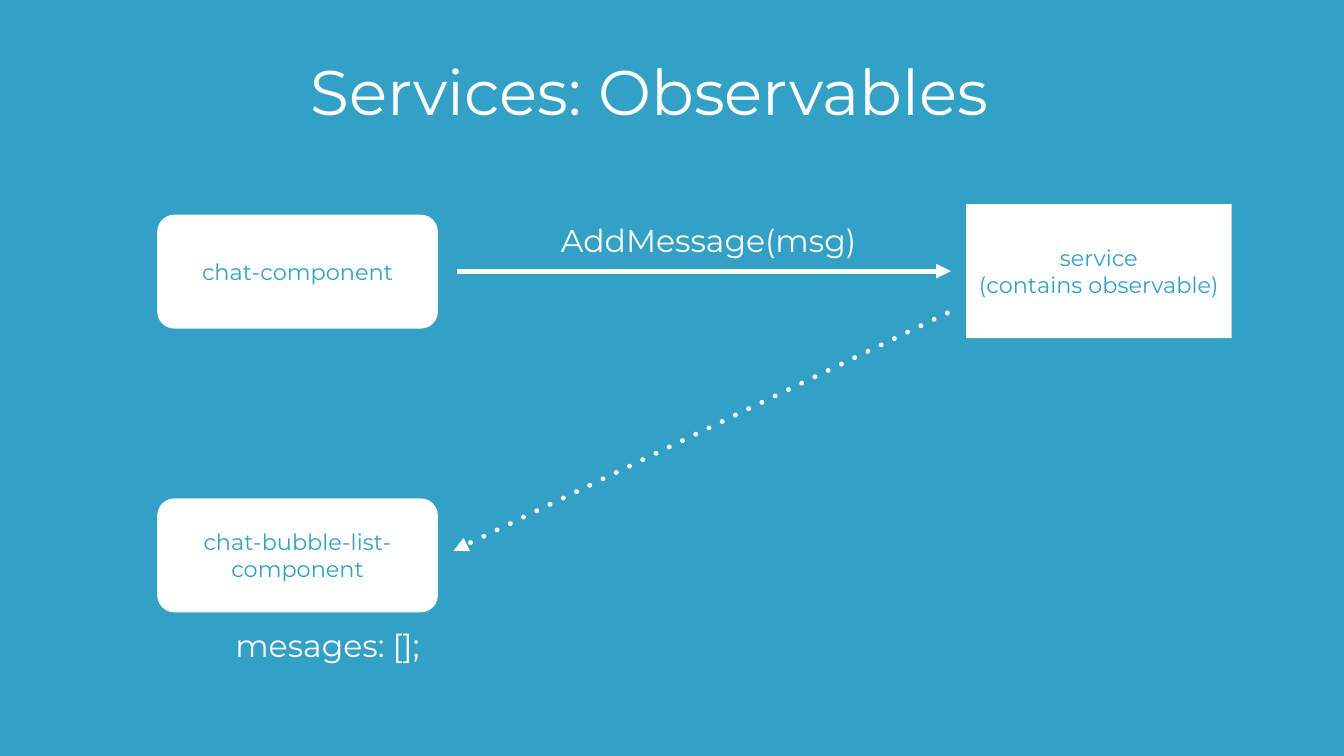
from dataclasses import dataclass

import pptx
import pptx.dml.color
import pptx.enum.dml
import pptx.enum.shapes
import pptx.enum.text
import pptx.oxml
import pptx.oxml.ns
import pptx.util

Inches = pptx.util.Inches
SHAPES = pptx.enum.shapes.MSO_SHAPE
ALIGN = pptx.enum.text.PP_ALIGN
ANCHOR = pptx.enum.text.MSO_ANCHOR


@dataclass(frozen=True)
class Theme:
    background: str = "33A1C5"
    ink: str = "FFFFFF"
    box_text: str = "33A0C5"
    font: str = "Montserrat"
    title_size: int = 90
    label_size: int = 45
    box_size: int = 32
    line_width: int = 7
    inset: float = 0.06


@dataclass(frozen=True)
class Box:
    lines: tuple[str, ...]
    at: tuple[float, float, float, float]
    rounded: bool = False


@dataclass(frozen=True)
class Arrow:
    start: tuple[float, float]
    end: tuple[float, float]
    dotted: bool = False


@dataclass(frozen=True)
class Label:
    text: str
    at: tuple[float, float, float, float]


THEME = Theme()
COMPONENT_LEFT, COMPONENT_SIZE = 3.12, (5.57, 2.26)

BOXES = [
    Box(("chat-component",), (COMPONENT_LEFT, 4.26, *COMPONENT_SIZE), True),
    Box(("service", "(contains observable)"), (19.17, 4.05, 5.27, 2.66)),
    Box(("chat-bubble-list-component",), (COMPONENT_LEFT, 9.89, *COMPONENT_SIZE), True),
]
ARROWS = [
    Arrow((9.06, 5.38), (18.87, 5.38)),
    Arrow((18.8, 6.21), (9, 10.93), dotted=True),
]
LABELS = [
    Label("AddMessage(msg)", (11.07, 4.42, 6.28, 0.67)),
    Label("mesages: [];", (4.61, 12.47, 4.11, 0.67)),
]


def rgb(value: str) -> pptx.dml.color.RGBColor:
    return pptx.dml.color.RGBColor.from_string(value)


def write_text(sp, lines, size: int, color: str, align, anchor, wrap=True) -> None:
    tf = sp.text_frame
    margin = Inches(THEME.inset)
    frame_format = {
        "word_wrap": wrap, "vertical_anchor": anchor,
        "auto_size": pptx.enum.text.MSO_AUTO_SIZE.NONE,
        "margin_left": margin, "margin_right": margin,
        "margin_top": margin, "margin_bottom": margin,
    }
    for name, value in frame_format.items():
        setattr(tf, name, value)
    font_format = {"name": THEME.font, "size": pptx.util.Pt(size), "bold": False}
    for i, line in enumerate(lines):
        p = tf.paragraphs[0] if i == 0 else tf.add_paragraph()
        p.alignment = align
        r = p.add_run()
        r.text = line
        for name, value in font_format.items():
            setattr(r.font, name, value)
        r.font.color.rgb = rgb(color)


def draw_title(slide, text: str) -> None:
    sp = slide.shapes.title
    place = {"left": 6.11, "top": 1.19, "width": 14.45, "height": 1.42}
    for name, value in place.items():
        setattr(sp, name, Inches(value))
    write_text(sp, [text], THEME.title_size, THEME.ink, ALIGN.LEFT, ANCHOR.BOTTOM)


def draw_box(slide, box: Box) -> None:
    kind = SHAPES.ROUNDED_RECTANGLE if box.rounded else SHAPES.RECTANGLE
    sp = slide.shapes.add_shape(kind, *map(Inches, box.at))
    if box.rounded:
        sp.adjustments[0] = 0.15
    sp.shadow.inherit = False
    sp.fill.solid()
    sp.fill.fore_color.rgb = rgb(THEME.ink)
    sp.line.fill.background()
    write_text(sp, box.lines, THEME.box_size, THEME.box_text, ALIGN.CENTER, ANCHOR.MIDDLE)


def draw_arrow(slide, arrow: Arrow) -> None:
    sp = slide.shapes.add_connector(
        pptx.enum.shapes.MSO_CONNECTOR.STRAIGHT,
        *map(Inches, arrow.start + arrow.end))
    sp.line.width = pptx.util.Pt(THEME.line_width)
    sp.line.color.rgb = rgb(THEME.ink)
    ln = sp.line._get_or_add_ln()
    ns = pptx.oxml.ns.nsdecls("a")
    if arrow.dotted:
        # Round dots, one line width long with gaps of two
        ln.set("cap", "rnd")
        ln.append(pptx.oxml.parse_xml(
            f'<a:custDash {ns}><a:ds d="100000" sp="200000"/></a:custDash>'))
    ln.append(pptx.oxml.parse_xml(f'<a:tailEnd {ns} type="triangle"/>'))
    sp._element.spPr.append(pptx.oxml.parse_xml(f"<a:effectLst {ns}/>"))


def draw_label(slide, label: Label) -> None:
    sp = slide.shapes.add_textbox(*map(Inches, label.at))
    write_text(sp, [label.text], THEME.label_size, THEME.ink, ALIGN.LEFT, ANCHOR.MIDDLE)


def main() -> None:
    prs = pptx.Presentation()
    prs.slide_width, prs.slide_height = Inches(26.67), Inches(15)
    slide = prs.slides.add_slide(prs.slide_layouts[5])
    slide.background.fill.solid()
    slide.background.fill.fore_color.rgb = rgb(THEME.background)

    draw_title(slide, "Services: Observables")
    # Components and the service they share
    for box in BOXES:
        draw_box(slide, box)
    # Message flow: call to the service, then notification
    for arrow in ARROWS:
        draw_arrow(slide, arrow)
    for label in LABELS:
        draw_label(slide, label)

    prs.save("out.pptx")


if __name__ == "__main__":
    main()
